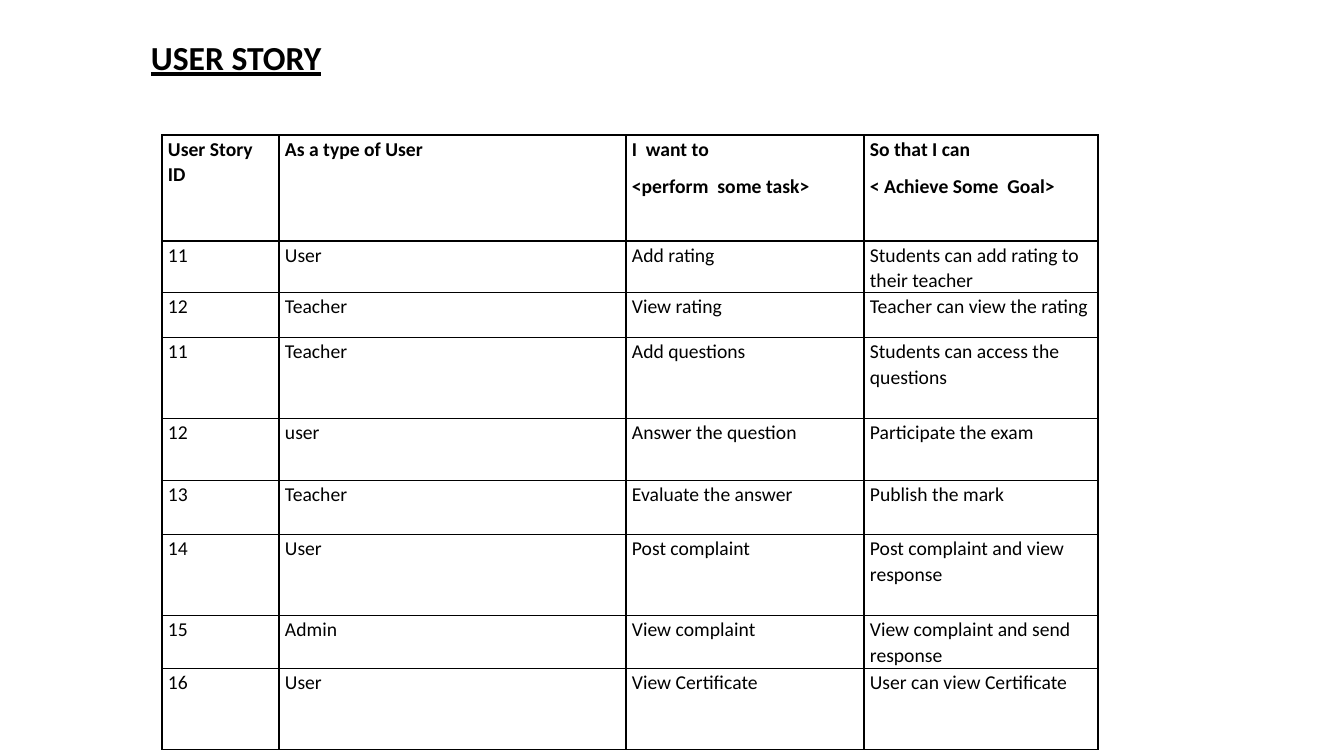
from lxml.etree import SubElement
from pptx import Presentation
from pptx.dml.color import RGBColor
from pptx.oxml import parse_xml
from pptx.oxml.ns import nsdecls
from pptx.util import Emu, Pt

PX = 914400 / 100.8
BLACK = RGBColor(0, 0, 0)
WHITE = RGBColor(255, 255, 255)

WIDTHS = [117, 347, 238, 234]
HEIGHTS = [106, 51, 45, 81, 62, 54, 81, 53, 81]
STORIES = [
    ("User Story ID", "As a type of User", "I  want to\n<perform  some task>",
     "So that I can\n< Achieve Some  Goal>"),
    ("11", "User", "Add rating", "Students can add rating to their teacher"),
    ("12", "Teacher", "View rating", "Teacher can view the rating"),
    ("11", "Teacher", "Add questions", "Students can access the questions"),
    ("12", "user", "Answer the question", "Participate the exam"),
    ("13", "Teacher", "Evaluate the answer", "Publish the mark"),
    ("14", "User", "Post complaint", "Post complaint and view response"),
    ("15", "Admin", "View complaint", "View complaint and send response"),
    ("16", "User", "View Certificate", "User can view Certificate"),
]


def px(count):
    """Turn whole pixels into EMU."""
    return Emu(round(count * PX))


class Deck:
    """Hold the style and the current slide."""

    def __init__(self, font, color):
        """Start a deck with one blank slide."""
        self.font, self.color = font, color
        self.show = Presentation()
        self.show.slide_width, self.show.slide_height = px(1344), px(756)
        self.slide = self.show.slides.add_slide(self.show.slide_layouts[6])
        fill = self.slide.background.fill
        fill.solid()
        fill.fore_color.rgb = WHITE

    def style(self, para, size, bold):
        """Set the font of a paragraph."""
        font = para.font
        font.name, font.size, font.bold = self.font, Pt(size), bold
        font.color.rgb = self.color
        return font

    def title(self, text, x, y, w, h):
        """Add an underlined heading."""
        frame = self.slide.shapes.add_textbox(px(x), px(y), px(w), px(h)).text_frame
        frame.word_wrap = True
        frame.text = text
        self.style(frame.paragraphs[0], 24, True).underline = True

    def border(self, cell):
        """Draw a thin line on each side of a cell."""
        props = cell._tc.get_or_add_tcPr()
        for i, side in enumerate("LRTB"):
            line = parse_xml(f'<a:ln{side} {nsdecls("a")} w="12700"/>')
            fill = SubElement(line, line.tag.replace(f"ln{side}", "solidFill"))
            tint = SubElement(fill, line.tag.replace(f"ln{side}", "srgbClr"))
            tint.set("val", str(self.color))
            props.insert(i, line)

    def cell(self, cell, text, bold):
        """Fill in one cell of a table."""
        cell.text = text
        cell.margin_left = cell.margin_right = px(6)
        cell.margin_top, cell.margin_bottom = px(1), 0
        cell.fill.background()
        self.border(cell)
        for para in cell.text_frame.paragraphs:
            para.line_spacing, para.space_after = 1.07, Pt(8)
            self.style(para, 14, bold)

    def table(self, rows, x, y, widths, heights):
        """Add a ruled table with a bold first row."""
        table = self.slide.shapes.add_table(
            len(rows), len(widths), px(x), px(y),
            px(sum(widths)), px(sum(heights))).table
        table.horz_banding = table.first_row = False
        for col, width in zip(table.columns, widths):
            col.width = px(width)
        for r, (row, height) in enumerate(zip(rows, heights)):
            table.rows[r].height = px(height)
            for c, text in enumerate(row):
                self.cell(table.cell(r, c), text, r == 0)


def main():
    """Build the user story slide."""
    deck = Deck("Calibri", BLACK)
    deck.title("USER STORY", 141, 32, 197, 50)
    deck.table(STORIES, 162, 135, WIDTHS, HEIGHTS)
    deck.show.save("out.pptx")


if __name__ == "__main__":
    main()
